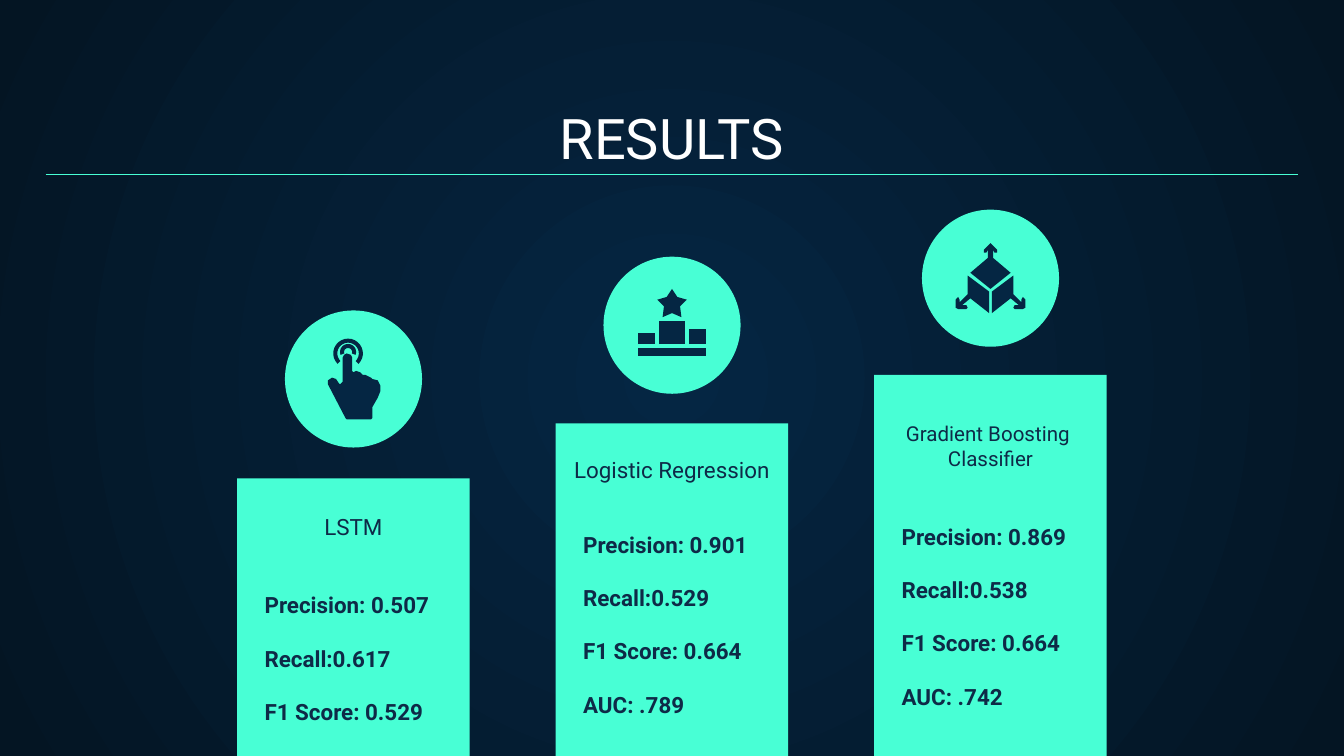
from math import cos, sin, radians
from pptx import Presentation, util as u
from pptx.dml.color import RGBColor
from pptx.enum import shapes as sh, text as tx
from pptx.oxml.ns import qn
from lxml import etree

# Theme
THEME = dict(font="Roboto", mint="48FFD5", navy="052643", dark="041523",
             ink="0E2A47", white="FFFFFF", head=30, body=12, small=11)
W = 10
H = W * 9 / 16


def arc(x, y, big, low, start, end):
    """Outline of a ring segment, angles in degrees."""
    turn = [radians(start + (end - start) * i / 20) for i in range(21)]
    return ([(x + big * cos(a), y + big * sin(a)) for a in turn]
            + [(x + low * cos(a), y + low * sin(a)) for a in reversed(turn)])


def box(x, y, w, h):
    return [(x, y), (x + w, y), (x + w, y + h), (x, y + h)]


def flip(pts):
    return [(-x, y) for x, y in pts]


# Icons: outlines in hundredths of an inch around the disc's centre
HAND = [(-5, -19), (-7, -18), (-8, -16), (-8, 2), (-10, 4), (-11, 3), (-13, 0),
        (-16, -1), (-19, 1), (-19, 4), (-6, 29), (-5, 30), (13, 30), (14, 29),
        (14, 21), (18, 14), (20, 9), (20, 5), (18, 1), (14, 0), (13, -1),
        (9, -3), (7, -3), (5, -5), (2, -6), (0, -5), (-1, -6), (-1, -16), (-2, -18)]
STAR = [(0, -27), (4, -21), (11, -19), (6, -14), (7, -6), (0, -9),
        (-7, -6), (-6, -14), (-11, -19), (-4, -21)]
SIDE = [(17, -2), (1, 10), (1, 26), (15, 15), (21, 20), (18, 20), (17, 22),
        (18, 23), (24, 23), (26, 22), (26, 16), (24, 14), (23, 16), (23, 18), (17, 12)]
LID = [(0, -26), (-5, -21), (-5, -19), (-3, -19), (-2, -21), (-2, -15), (-15, -4),
       (0, 8), (15, -4), (2, -15), (2, -21), (3, -19), (5, -19), (5, -21)]
TAP = [arc(-4, -19, 11, 8, 135, 405), arc(-4, -20, 6, 3, 160, 380), HAND]
PODIUM = [STAR, box(13, 3, 12, 11), box(-10, -3, 20, 17),
          box(-25, 6, 12, 8), box(-25, 17, 50, 6)]
CUBE = [SIDE, flip(SIDE), LID]

# Content: name, name size, name box (top, height), bar top, disc top, body top, scores, icon
MODELS = [
    ("LSTM", "body", (3.7, 0.42), 3.56, 2.31, 4.3,
     ["Precision: 0.507", "Recall:0.617", "F1 Score: 0.529"], TAP),
    ("Logistic Regression", "body", (3.34, 0.35), 3.15, 1.91, 3.85,
     ["Precision: 0.901", "Recall:0.529", "F1 Score: 0.664", "AUC: .789"], PODIUM),
    ("Gradient Boosting \nClassifier", "small", (3.39, 0.21), 2.79, 1.56, 3.79,
     ["Precision: 0.869", "Recall:0.538", "F1 Score: 0.664", "AUC: .742"], CUBE),
]
STEP, BAR, DISC, NAME, BODY = 2.37, 1.73, 1.02, 2.27, 1.52
EDGE, RULE, FOOT = 0.34, 1.3, 5.55


def tint(name):
    return RGBColor.from_string(THEME[name])


def paint(shape, name):
    shape.shadow.inherit = False
    shape.fill.solid()
    shape.fill.fore_color.rgb = tint(name)
    shape.line.fill.background()


def write(shape, words, size, color, bold=False, mid=True, gap=0):
    frame = shape.text_frame
    frame.text = words
    frame.word_wrap = True
    frame.auto_size = tx.MSO_AUTO_SIZE.NONE
    frame.vertical_anchor = tx.MSO_ANCHOR.BOTTOM if mid else tx.MSO_ANCHOR.TOP
    frame.margin_left = frame.margin_right = u.Inches(0.1)
    frame.margin_top = frame.margin_bottom = u.Inches(0.1)
    for i, para in enumerate(frame.paragraphs):
        para.alignment = tx.PP_ALIGN.CENTER if mid else tx.PP_ALIGN.LEFT
        para.line_spacing = 1.0
        para.space_before = u.Pt(gap if i else 0)
        for run in para.runs:
            font = run.font
            font.name, font.size, font.bold = THEME["font"], u.Pt(THEME[size]), bold
            font.color.rgb = tint(color)


def area(mid, top, wide, high):
    return [u.Inches(v) for v in (mid - wide / 2, top, wide, high)]


deck = Presentation()
deck.slide_width, deck.slide_height = u.Inches(W), u.Inches(H)
slide = deck.slides.add_slide(deck.slide_layouts[5])
parts = slide.shapes

# Radial background
fill = slide.background.fill
fill.gradient()
for stop, name in zip(fill.gradient_stops, ("navy", "dark")):
    stop.color.rgb = tint(name)
grad = next(slide.element.iter(qn("a:gradFill")))
ring = etree.Element(qn("a:path"), {"path": "circle"})
etree.SubElement(ring, qn("a:fillToRect"), dict.fromkeys("ltrb", "50000"))
grad.replace(grad.find(qn("a:lin")), ring)

# Title and rule
title = parts.title
title.left, title.top, title.width, title.height = area(W / 2, 0.71, W - 2 * EDGE, 0.66)
write(title, "RESULTS", "head", "white")
rule = parts.add_connector(sh.MSO_CONNECTOR.STRAIGHT, u.Inches(EDGE), u.Inches(RULE),
                           u.Inches(W - EDGE), u.Inches(RULE))
rule.line.color.rgb = tint("mint")
rule.line.width = u.Pt(0.75)
etree.SubElement(rule._element.spPr, qn("a:effectLst"))

# One column per model
for col, (name, size, spot, top, disc, body, scores, icon) in enumerate(MODELS):
    mid = W / 2 + (col - 1) * STEP
    bar = parts.add_shape(sh.MSO_SHAPE.RECTANGLE, *area(mid, top, BAR, H - top))
    paint(bar, "mint")
    label = parts.add_textbox(*area(mid, spot[0], NAME, spot[1]))
    write(label, name, size, "ink")
    stats = parts.add_textbox(*area(mid, body, BODY, FOOT - body))
    write(stats, "\n".join(scores), "body", "ink", bold=True, mid=False, gap=14.2)
    dot = parts.add_shape(sh.MSO_SHAPE.OVAL, *area(mid, disc, DISC, DISC))
    paint(dot, "mint")
    group = parts.add_group_shape()
    for pts in icon:
        pts = [(x * 10, y * 10) for x, y in pts]
        pen = group.shapes.build_freeform(*pts[0], scale=u.Inches(1) / 1000)
        pen.add_line_segments(pts[1:], close=True)
        paint(pen.convert_to_shape(u.Inches(mid), u.Inches(disc + DISC / 2)), "navy")

deck.save("out.pptx")
